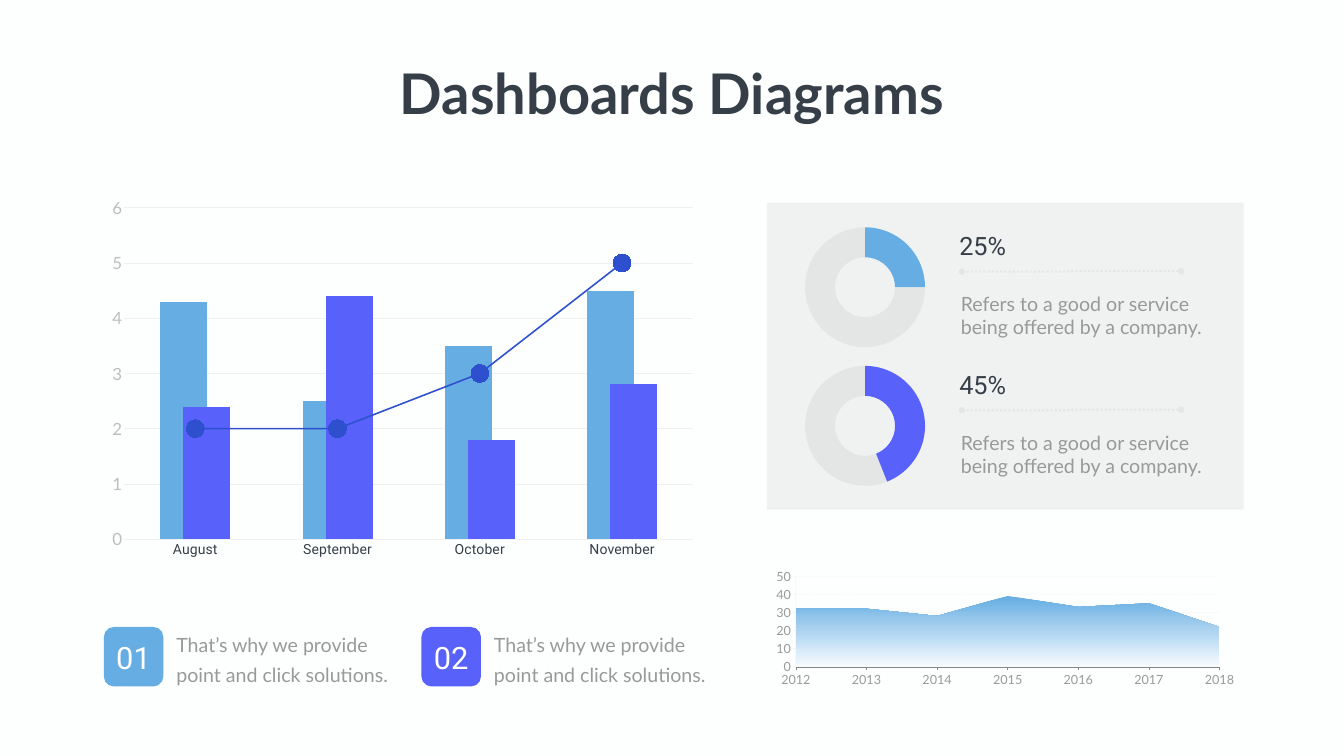
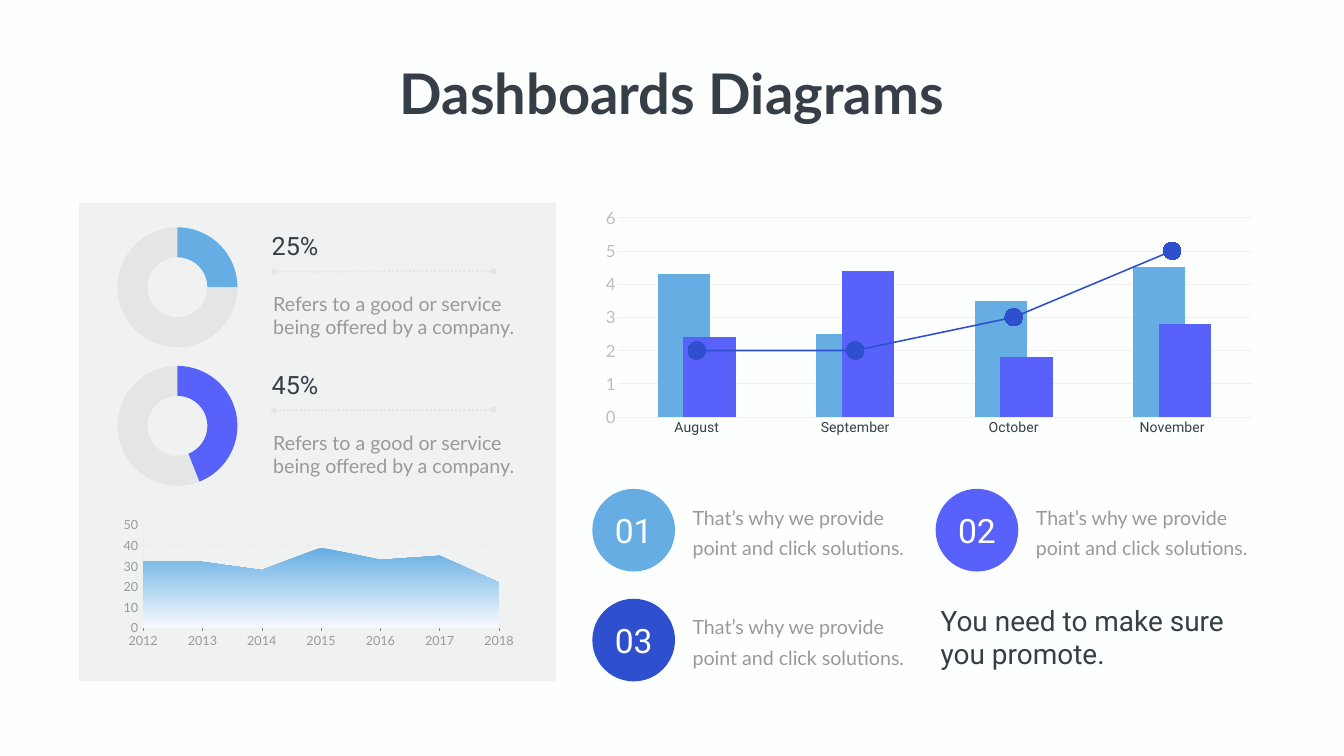
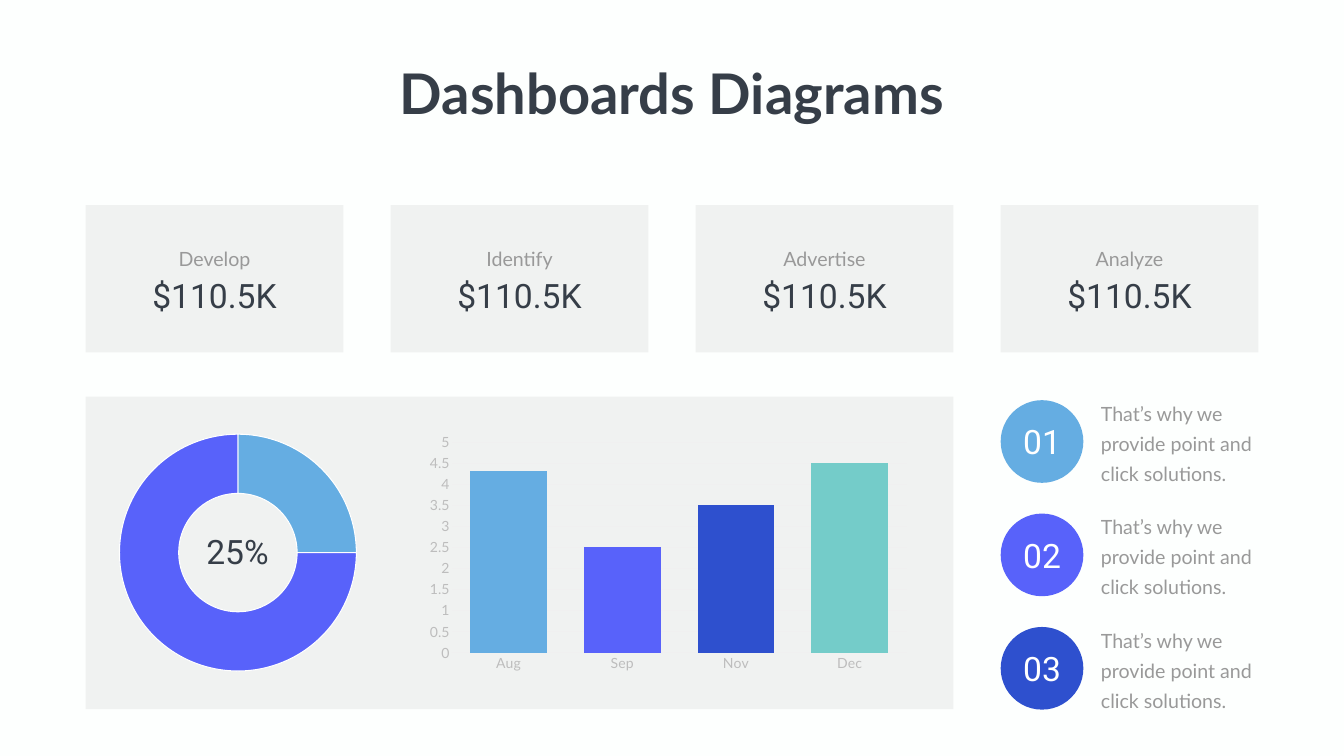
from typing import NamedTuple, Optional, Sequence

from lxml.etree import SubElement
from pptx import Presentation
from pptx.chart.axis import CategoryAxis, ValueAxis
from pptx.chart.chart import Chart
from pptx.chart.data import CategoryChartData
from pptx.dml.color import RGBColor
from pptx.dml.fill import FillFormat
from pptx.enum.chart import XL_CHART_TYPE, XL_MARKER_STYLE, XL_TICK_MARK
from pptx.enum.dml import MSO_LINE
from pptx.enum.shapes import MSO_CONNECTOR, MSO_SHAPE
from pptx.enum.text import MSO_ANCHOR, MSO_AUTO_SIZE, PP_ALIGN
from pptx.oxml.ns import qn
from pptx.slide import Slide
from pptx.text.text import TextFrame
from pptx.util import Emu, Pt

BACKGROUND = RGBColor(0xFD, 0xFF, 0xFE)
DARK = RGBColor(0x36, 0x3E, 0x48)
TEXT_GRAY = RGBColor(0x99, 0x99, 0x99)
AXIS_GRAY = RGBColor(0xBD, 0xBD, 0xBD)
GRID_GRAY = RGBColor(0xF0, 0xF0, 0xF0)
VEIL = RGBColor(0x80, 0x80, 0x80)
WHITE = RGBColor(0xFF, 0xFF, 0xFF)
SKY = RGBColor(0x65, 0xAD, 0xE2)
PALE_SKY = RGBColor(0xF7, 0xFB, 0xFE)
VIOLET = RGBColor(0x58, 0x62, 0xFA)
BLUE = RGBColor(0x2E, 0x50, 0xCE)
TEAL = RGBColor(0x74, 0xCC, 0xC9)

LATO, ROBOTO, CALIBRI = "Lato", "Roboto", "Calibri"
VEIL_OPACITY = 10
CAPTION = "That’s why we provide point and click solutions."
DESCRIPTION = "Refers to a good or service being offered by a company."


def px(length: float) -> Emu:
    """Turn px, 100 to the inch, into EMU."""
    return Emu(round(length * 9144))


class Box(NamedTuple):
    left: int
    top: int
    width: int
    height: int

    def emu(self) -> tuple:
        return tuple(px(length) for length in self)


class Badge(NamedTuple):
    number: str
    left: int
    top: int
    colour: RGBColor


class BadgeStyle(NamedTuple):
    outline: MSO_SHAPE
    side: int
    font_size: int
    caption_shift: int
    caption_drop: int
    caption_width: int
    caption_height: int


class Ratio(NamedTuple):
    label: str
    share: int
    colour: RGBColor


SQUARE_BADGE = BadgeStyle(MSO_SHAPE.ROUNDED_RECTANGLE, 118, 44, 134, -6, 440, 124)
ROUND_BADGE = BadgeStyle(MSO_SHAPE.OVAL, 164, 48, 189, 15, 463, 124)
NARROW_BADGE = BadgeStyle(MSO_SHAPE.OVAL, 164, 48, 189, -15, 363, 184)

RATIOS = (Ratio("25%", 25, SKY), Ratio("45%", 44, VIOLET))
RATIO_PITCH = 275


def paint(fill: FillFormat, colour: RGBColor, opacity: int = 100) -> None:
    fill.solid()
    fill.fore_color.rgb = colour
    if opacity < 100:
        for node in fill._xPr.find(qn("a:solidFill")):
            SubElement(node, qn("a:alpha"), val=str(opacity * 1000))


def write(frame: TextFrame, text: str, *, size: int, colour: RGBColor, font: str = LATO,
          bold: bool = False, align: PP_ALIGN = PP_ALIGN.LEFT,
          spacing: Optional[float] = None, wrap: bool = True,
          anchor: MSO_ANCHOR = MSO_ANCHOR.TOP) -> None:
    frame.word_wrap = wrap
    frame.auto_size = MSO_AUTO_SIZE.NONE
    frame.vertical_anchor = anchor
    para = frame.paragraphs[0]
    para.alignment = align
    if spacing:
        para.line_spacing = Pt(spacing)
    span = para.add_run()
    span.text = text
    span.font.name = font
    span.font.size = Pt(size)
    span.font.bold = bold
    span.font.color.rgb = colour


def add_text(page: Slide, box: Box, text: str, **text_format) -> TextFrame:
    frame = page.shapes.add_textbox(*box.emu()).text_frame
    write(frame, text, **text_format)
    return frame


def add_page(deck) -> Slide:
    page = deck.slides.add_slide(deck.slide_layouts[5])
    title = page.shapes.title
    title.left, title.top, title.width, title.height = Box(772, 112, 1122, 145).emu()
    write(title.text_frame, "Dashboards Diagrams", size=80, colour=DARK, bold=True,
          align=PP_ALIGN.CENTER, wrap=False)
    return page


def add_panel(page: Slide, box: Box) -> None:
    panel = page.shapes.add_shape(MSO_SHAPE.RECTANGLE, *box.emu())
    panel.shadow.inherit = False
    panel.line.fill.background()
    paint(panel.fill, VEIL, VEIL_OPACITY)


def add_badge(page: Slide, badge: Badge, style: BadgeStyle) -> None:
    """Add a numbered shape with its caption on the right."""
    shape = page.shapes.add_shape(
        style.outline, *Box(badge.left, badge.top, style.side, style.side).emu())
    shape.shadow.inherit = False
    shape.line.fill.background()
    paint(shape.fill, badge.colour)
    frame = shape.text_frame
    frame.margin_left = frame.margin_right = frame.margin_top = frame.margin_bottom = 0
    write(frame, badge.number, size=style.font_size, colour=WHITE, font=ROBOTO,
          align=PP_ALIGN.CENTER, anchor=MSO_ANCHOR.MIDDLE, wrap=False)
    caption_box = Box(badge.left + style.caption_shift, badge.top + style.caption_drop,
                      style.caption_width, style.caption_height)
    add_text(page, caption_box, CAPTION, size=28, colour=TEXT_GRAY, spacing=43)


def add_dotted_line(page: Slide, left: int, top: int) -> None:
    connector = page.shapes.add_connector(
        MSO_CONNECTOR.ELBOW, px(left + 435), px(top), px(left), px(top + 1))
    line = connector.line
    line.width = Pt(3)
    paint(line.fill, VEIL, VEIL_OPACITY)
    line.dash_style = MSO_LINE.ROUND_DOT
    properties = connector.element.spPr
    for end in ("a:headEnd", "a:tailEnd"):
        SubElement(properties.find(qn("a:ln")), qn(end), type="oval")
    SubElement(properties, qn("a:effectLst"))


def clear_background(chart: Chart) -> None:
    whole = chart.element.find(qn("c:chart"))
    plot_area = whole.find(qn("c:plotArea"))
    for parent in (chart.element, plot_area):
        properties = SubElement(parent, qn("c:spPr"))
        SubElement(properties, qn("a:noFill"))
        SubElement(SubElement(properties, qn("a:ln")), qn("a:noFill"))
        if parent is chart.element:
            whole.addnext(properties)


def add_chart(page: Slide, kind: XL_CHART_TYPE, box: Box, categories: Sequence[str],
              *series: Sequence[float], size: int, font: str = LATO) -> Chart:
    data = CategoryChartData()
    data.categories = categories
    for number, values in enumerate(series, 1):
        data.add_series(f"Series {number}", values)
    chart = page.shapes.add_chart(kind, *box.emu(), data).chart
    chart.has_title = False
    chart.has_legend = False
    clear_background(chart)
    chart.font.size = Pt(size)
    chart.font.name = font
    chart.font.color.rgb = TEXT_GRAY
    chart.plots[0].vary_by_categories = kind == XL_CHART_TYPE.DOUGHNUT
    return chart


def style_labels(axis: CategoryAxis | ValueAxis, size: int, colour: RGBColor,
                 font: str) -> None:
    axis.major_tick_mark = axis.minor_tick_mark = XL_TICK_MARK.NONE
    label_font = axis.tick_labels.font
    label_font.size = Pt(size)
    label_font.name = font
    label_font.color.rgb = colour


def set_scale(axis: ValueAxis, maximum: float, step: float) -> None:
    axis.minimum_scale, axis.maximum_scale, axis.major_unit = 0, maximum, step
    axis.has_major_gridlines = True


def style_column_axes(chart: Chart, maximum: float, step: float, value_size: int,
                      label_colour: RGBColor, label_font: str) -> None:
    categories, values = chart.category_axis, chart.value_axis
    style_labels(categories, 20, label_colour, label_font)
    style_labels(values, value_size, AXIS_GRAY, LATO)
    set_scale(values, maximum, step)
    values.format.line.fill.background()
    for line in (categories.format.line, values.major_gridlines.format.line):
        line.width = Pt(0.75)
        paint(line.fill, GRID_GRAY)


def move_last_series_to_line(chart: Chart) -> None:
    bars = chart.element.find(".//" + qn("c:barChart"))
    series = bars.findall(qn("c:ser"))[-1]
    for bar_setting in series.findall(qn("c:invertIfNegative")):
        series.remove(bar_setting)
    lines = bars.makeelement(qn("c:lineChart"))
    bars.addnext(lines)
    SubElement(lines, qn("c:grouping"), val="standard")
    SubElement(lines, qn("c:varyColors"), val="0")
    lines.append(series)
    SubElement(lines, qn("c:marker"), val="1")
    for axis in bars.findall(qn("c:axId")):
        SubElement(lines, qn("c:axId"), val=axis.get("val"))


def add_month_chart(page: Slide, box: Box) -> None:
    chart = add_chart(page, XL_CHART_TYPE.COLUMN_CLUSTERED, box,
                      ("August", "September", "October", "November"),
                      (4.3, 2.5, 3.5, 4.5), (2.4, 4.4, 1.8, 2.8), (2, 2, 3, 5), size=20)
    style_column_axes(chart, 6, 1, 24, DARK, ROBOTO)
    move_last_series_to_line(chart)
    columns, lines = chart.plots
    columns.gap_width, columns.overlap = 154, 51
    for series, colour in zip(columns.series, (SKY, VIOLET)):
        paint(series.format.fill, colour)
    trend = lines.series[0]
    trend.smooth = False
    trend.format.line.width = Pt(2.25)
    paint(trend.format.line.fill, BLUE)
    trend.marker.style = XL_MARKER_STYLE.CIRCLE
    trend.marker.size = 25
    paint(trend.marker.format.fill, BLUE)
    paint(trend.marker.format.line.fill, BLUE)


def add_year_chart(page: Slide, box: Box) -> None:
    chart = add_chart(page, XL_CHART_TYPE.AREA, box,
                      [str(year) for year in range(2012, 2019)],
                      (32, 32, 28, 39, 33, 35, 22), size=18)
    fill = chart.plots[0].series[0].format.fill
    fill.gradient()
    fill.gradient_angle = 270
    for stop, colour in zip(fill.gradient_stops, (SKY, PALE_SKY)):
        stop.color.rgb = colour
    values = chart.value_axis
    set_scale(values, 50, 10)
    for axis in (chart.category_axis, values):
        axis.major_tick_mark = XL_TICK_MARK.OUTSIDE
    grid = values.major_gridlines.format.line
    for line in (values.format.line, grid):
        line.width = Pt(0.75)
        paint(line.fill, VEIL, VEIL_OPACITY)
    grid.dash_style = MSO_LINE.DASH


def add_doughnut(page: Slide, box: Box, share: int, hole: int, diameter: int) -> Chart:
    """Add a two-part ring of the given diameter, centred in its box."""
    chart = add_chart(page, XL_CHART_TYPE.DOUGHNUT, box, ("1", "2"),
                      (share, 100 - share), size=10, font=CALIBRI)
    plot_area = chart.element.find(".//" + qn("c:plotArea"))
    plot_area.find(".//" + qn("c:holeSize")).set("val", str(hole))
    for layout in plot_area.findall(qn("c:layout")):
        plot_area.remove(layout)
    layout = plot_area.makeelement(qn("c:layout"))
    plot_area.insert(0, layout)
    manual = SubElement(layout, qn("c:manualLayout"))
    width, height = diameter / box.width, diameter / box.height
    settings = {"layoutTarget": "inner", "xMode": "edge", "yMode": "edge",
                "x": (1 - width) / 2, "y": (1 - height) / 2, "w": width, "h": height}
    for name, value in settings.items():
        SubElement(manual, qn(f"c:{name}"), val=str(value))
    return chart


def add_ratio_panel(page: Slide, left: int, height: int) -> None:
    """Add a gray panel with one ring, figure and description per ratio."""
    top = 402
    add_panel(page, Box(left, top, 946, height))
    for row, ratio in enumerate(RATIOS):
        row_top = top + row * RATIO_PITCH
        chart = add_doughnut(page, Box(left + 53, row_top + 35, 284, 266),
                             ratio.share, 70, 238)
        points = chart.plots[0].series[0].points
        paint(points[0].format.fill, ratio.colour)
        paint(points[1].format.fill, VEIL, VEIL_OPACITY)
        for index in range(2):
            points[index].format.line.fill.background()
        add_dotted_line(page, left + 387, row_top + 136)
        frame = add_text(page, Box(left + 361, row_top + 165, 540, 118), DESCRIPTION,
                         size=28, colour=TEXT_GRAY)
        frame.margin_left = frame.margin_right = px(24)
        frame.margin_top = frame.margin_bottom = px(12)
        add_text(page, Box(left + 372, row_top + 51, 408, 64), ratio.label,
                 size=36, colour=DARK, font=ROBOTO)


def add_amount_card(page: Slide, left: int, label: str) -> None:
    add_panel(page, Box(left, 407, 511, 292))
    add_text(page, Box(left + 143, 475, 225, 63), label, size=28, colour=TEXT_GRAY,
             align=PP_ALIGN.CENTER, spacing=40.8)
    add_text(page, Box(left + 108, 540, 295, 91), "$110.5K", size=48, colour=DARK,
             font=ROBOTO, align=PP_ALIGN.CENTER)


def build_wide_chart_page(deck) -> None:
    page = add_page(deck)
    add_month_chart(page, Box(199, 377, 1200, 745))
    add_ratio_panel(page, 1521, 609)
    for badge in (Badge("01", 206, 1244, SKY), Badge("02", 836, 1244, VIOLET)):
        add_badge(page, badge, SQUARE_BADGE)
    add_year_chart(page, Box(1521, 1123, 946, 245))


def build_tall_panel_page(deck) -> None:
    page = add_page(deck)
    add_ratio_panel(page, 157, 950)
    add_year_chart(page, Box(229, 1021, 806, 270))
    add_month_chart(page, Box(1175, 402, 1334, 472))
    for badge in (Badge("01", 1175, 970, SKY), Badge("02", 1856, 970, VIOLET),
                  Badge("03", 1175, 1188, BLUE)):
        add_badge(page, badge, ROUND_BADGE)
    add_text(page, Box(1856, 1192, 652, 145), "You need to make sure you promote.",
             size=40, colour=DARK, font=ROBOTO)


def build_cards_page(deck) -> None:
    page = add_page(deck)
    add_panel(page, Box(170, 787, 1721, 620))
    for column, label in enumerate(("Develop", "Identify", "Advertise", "Analyze")):
        add_amount_card(page, 170 + column * 605, label)

    ring = add_doughnut(page, Box(206, 847, 532, 499), 25, 75, 470)
    for index, colour in enumerate((SKY, VIOLET)):
        point_format = ring.plots[0].series[0].points[index].format
        paint(point_format.fill, colour)
        paint(point_format.line.fill, WHITE)
        point_format.line.width = Pt(1.5)
    add_text(page, Box(317, 1049, 308, 91), "25%", size=48, colour=DARK, font=ROBOTO,
             align=PP_ALIGN.CENTER)

    chart = add_chart(page, XL_CHART_TYPE.COLUMN_CLUSTERED, Box(833, 850, 985, 493),
                      ("Aug", "Sep", "Nov", "Dec"), (4.3, 2.5, 3.5, 4.5), size=20)
    style_column_axes(chart, 5, 0.5, 20, AXIS_GRAY, LATO)
    columns = chart.plots[0]
    columns.gap_width, columns.overlap = 48, -27
    paint(columns.series[0].format.fill, SKY)
    for index, colour in enumerate((VIOLET, BLUE, TEAL), 1):
        paint(columns.series[0].points[index].format.fill, colour)

    for row, colour in enumerate((SKY, VIOLET, BLUE)):
        add_badge(page, Badge(f"0{row + 1}", 1985, 794 + row * 225, colour), NARROW_BADGE)


def main() -> None:
    deck = Presentation()
    deck.slide_width, deck.slide_height = px(2666), px(1500)
    paint(deck.slide_master.background.fill, BACKGROUND)
    build_wide_chart_page(deck)
    build_tall_panel_page(deck)
    build_cards_page(deck)
    deck.save("out.pptx")


if __name__ == "__main__":
    main()
